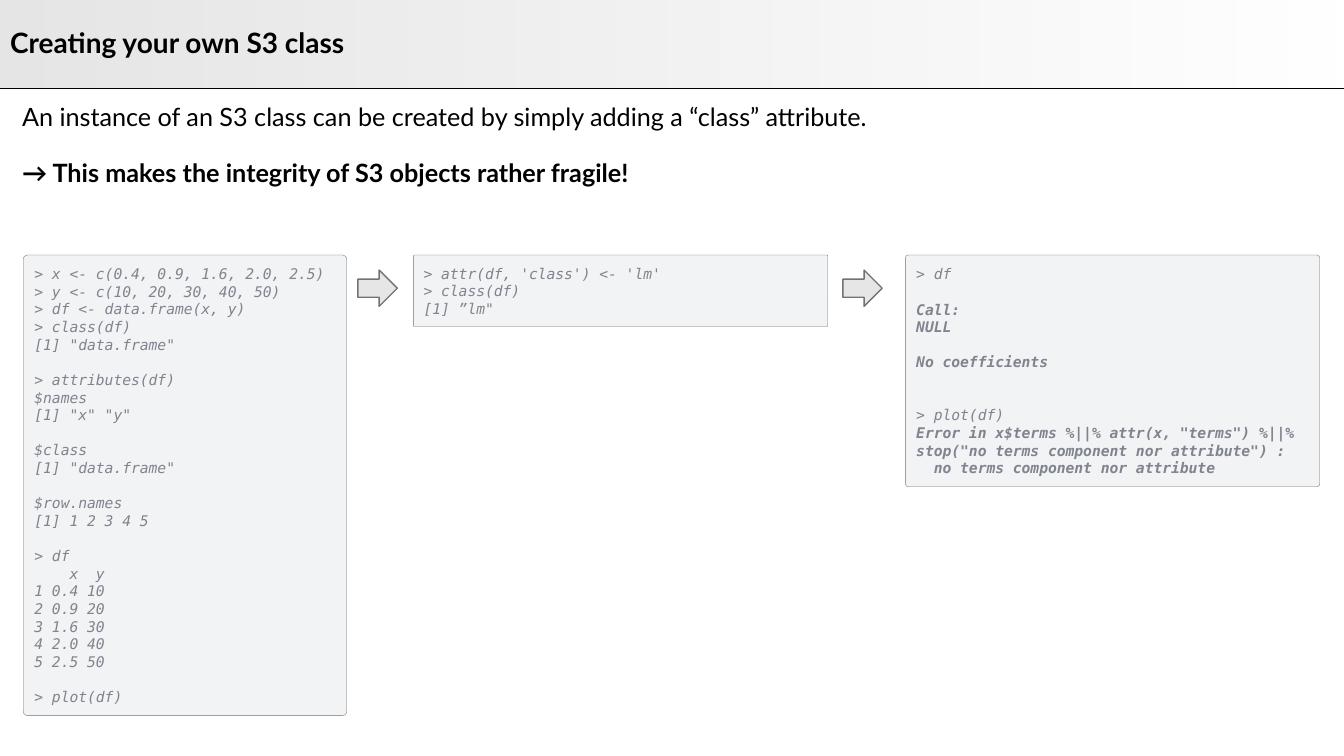
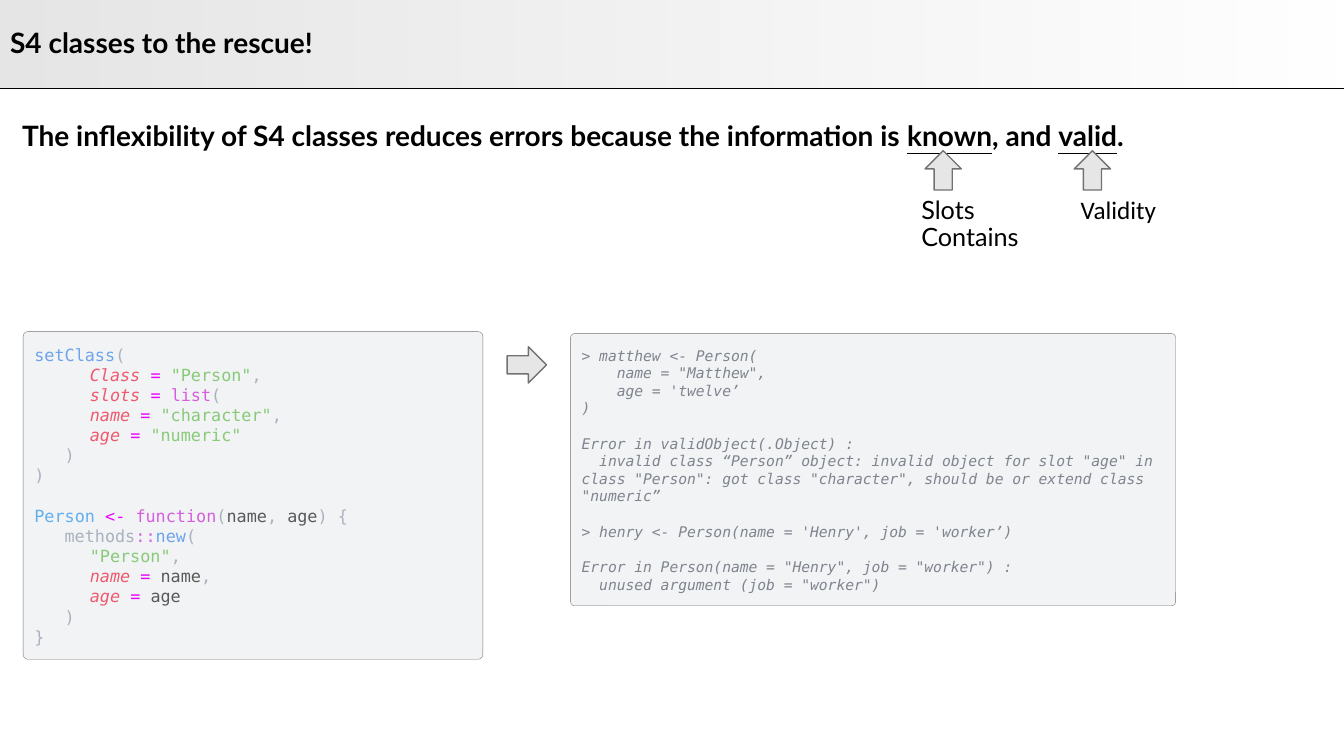
from typing import NamedTuple

from lxml import etree
from pptx import Presentation
from pptx import util as u
from pptx.dml import color as dml
from pptx.enum import shapes, text
from pptx.oxml import ns


class Style(NamedTuple):
    color: str
    bold: bool = False
    italic: bool = False
    underline: bool = False


class Theme:
    band = "E7E6E6"
    code_fill = "F1F3F5"
    outline = "767171"
    black = "000000"
    prose_font, label_font, code_font = "Lato", "Calibri", "DejaVu Sans Mono"
    title_size, body_size, listing_size, console_size = 20, 18, 12, 10.5
    styles = {
        "body": Style("000000"),
        "strong": Style("000000", bold=True),
        "underlined": Style("000000", bold=True, underline=True),
        "console": Style("7F848E", italic=True),
        "alert": Style("7F848E", bold=True, italic=True),
        "call": Style("6EA4EB"),
        "class": Style("61AFEF"),
        "argument": Style("EF596F", italic=True),
        "operator": Style("EA00FF"),
        "string": Style("89CA78"),
        "keyword": Style("D55FDE"),
        "variable": Style("595959"),
        "punctuation": Style("ABB2BF"),
    }


# A paragraph is (left indent in inches, [(text, style name), ...]).
def lines(style, *texts):
    return [(0, [(line, style)] if line else []) for line in texts]


def argument(name, value, style, comma=True):
    runs = [(name + " ", "argument"), ("= ", "operator"), (value, style)]
    return ARGUMENT_INDENT, runs + [(",", "punctuation")] * comma


SLIDE_WIDTH, SLIDE_HEIGHT = 13.33, 7.5
BAND_HEIGHT = 0.88
BODY_BOX = (0.12, 0.96, 12.98, 6.54)
ARROW_WIDTH, ARROW_HEIGHT = 0.39, 0.36
CALL_INDENT, ARGUMENT_INDENT = 0.3, 0.55

S3_TITLE = "Creating your own S3 class"
S3_BODY = (
    lines("body", "An instance of an S3 class can be created by simply adding a “class” attribute.")
    + lines("strong", "→ This makes the integrity of S3 objects rather fragile!")
)
DATA_FRAME = lines(
    "console",
    "> x <- c(0.4, 0.9, 1.6, 2.0, 2.5)",
    "> y <- c(10, 20, 30, 40, 50)",
    "> df <- data.frame(x, y)",
    "> class(df)",
    '[1] "data.frame"',
    "",
    "> attributes(df)",
    "$names",
    '[1] "x" "y"',
    "",
    "$class",
    '[1] "data.frame"',
    "",
    "$row.names",
    "[1] 1 2 3 4 5",
    "",
    "> df",
    "    x  y",
    "1 0.4 10",
    "2 0.9 20",
    "3 1.6 30",
    "4 2.0 40",
    "5 2.5 50",
    "",
    "> plot(df)",
)
CLASS_CHANGE = lines("console", "> attr(df, 'class') <- 'lm'", "> class(df)", '[1] ”lm"')
BROKEN_OBJECT = (
    lines("console", "> df", "")
    + lines("alert", "Call:", "NULL", "", "No coefficients", "", "")
    + lines("console", "> plot(df)")
    + lines(
        "alert",
        'Error in x$terms %||% attr(x, "terms") %||% stop("no terms component nor attribute") :',
        "  no terms component nor attribute",
    )
)
# (box, code)
S3_PANELS = [
    ((0.23, 2.53, 3.21, 4.57), DATA_FRAME),
    ((4.1, 2.53, 4.11, 0.71), CLASS_CHANGE),
    ((8.98, 2.53, 4.11, 2.3), BROKEN_OBJECT),
]
S3_ARROWS = [(3.55, 2.68), (8.36, 2.68)]

S4_TITLE = "S4 classes to the rescue!"
S4_BODY = [(0, [
    ("The inflexibility of S4 classes reduces errors because the information is ", "strong"),
    ("known", "underlined"),
    (", and ", "strong"),
    ("valid", "underlined"),
    (".", "strong"),
])]
# (text, left, top, width, font)
S4_LABELS = [
    ("Slots", 9.04, 1.88, 1.03, Theme.prose_font),
    ("Validity", 10.62, 1.88, 1.03, Theme.label_font),
    ("Contains", 9.04, 2.15, 1.27, Theme.prose_font),
]
S4_UP_ARROWS = [(9.16, 1.51), (10.64, 1.51)]
S4_ARROW = (5.03, 3.44)
CLASS_BOX = (0.23, 3.29, 4.56, 3.25)
CLASS_DEFINITION = [
    (0, [("setClass", "call"), ("(", "punctuation")]),
    argument("Class", '"Person"', "string"),
    (ARGUMENT_INDENT, [("slots ", "argument"), ("= ", "operator"),
                       ("list", "keyword"), ("(", "punctuation")]),
    argument("name", '"character"', "string"),
    argument("age", '"numeric"', "string", comma=False),
    (CALL_INDENT, [(")", "punctuation")]),
    (0, [(")", "punctuation")]),
    (0, []),
    (0, [("Person ", "class"), ("<- ", "operator"), ("function", "keyword"),
         ("(", "punctuation"), ("name", "variable"), (", ", "punctuation"),
         ("age", "variable"), (") {", "punctuation")]),
    (CALL_INDENT, [("methods", "punctuation"), ("::", "keyword"),
                   ("new", "call"), ("(", "punctuation")]),
    (ARGUMENT_INDENT, [('"Person"', "string"), (",", "punctuation")]),
    argument("name", "name", "variable"),
    argument("age", "age", "variable", comma=False),
    (CALL_INDENT, [(")", "punctuation")]),
    (0, [("}", "punctuation")]),
]
ERRORS_BOX = (5.66, 3.31, 6, 2.7)
CLASS_ERRORS = lines(
    "console",
    "> matthew <- Person(",
    '    name = "Matthew",',
    "    age = 'twelve’",
    ")",
    "",
    "Error in validObject(.Object) :",
    '  invalid class “Person” object: invalid object for slot "age" in class "Person": '
    'got class "character", should be or extend class "numeric”',
    "",
    "> henry <- Person(name = 'Henry', job = 'worker’)",
    "",
    'Error in Person(name = "Henry", job = "worker") :',
    '  unused argument (job = "worker")',
)


def rgb(value):
    return dml.RGBColor.from_string(value)


def inches(*values):
    return [u.Inches(value) for value in values]


def write(frame, paragraphs, size, font, line_spacing=None, space_after=None):
    frame.word_wrap = True
    for index, (indent, runs) in enumerate(paragraphs):
        paragraph = frame.add_paragraph() if index else frame.paragraphs[0]
        paragraph.alignment = text.PP_ALIGN.LEFT
        paragraph.line_spacing = line_spacing
        paragraph.space_after = space_after
        if indent:
            properties = paragraph._p.get_or_add_pPr()
            properties.set("marL", str(u.Inches(indent)))
            properties.set("indent", "0")
        for content, style_name in runs:
            style = Theme.styles[style_name]
            run = paragraph.add_run()
            run.text = content
            run.font.name, run.font.size = font, u.Pt(size)
            run.font.bold, run.font.italic = style.bold, style.italic
            run.font.underline = style.underline
            run.font.color.rgb = rgb(style.color)
        if not runs:  # an empty code line keeps the height of its neighbours
            end = etree.SubElement(paragraph._p, ns.qn("a:endParaRPr"), sz=str(int(size * 100)))
            etree.SubElement(end, ns.qn("a:latin"), typeface=font)


def add_titled_slide(presentation, title_text):
    """Add a slide with the fading title band and the rule under it."""
    slide = presentation.slides.add_slide(presentation.slide_layouts[5])
    title = slide.shapes.title
    title.left, title.top, title.width, title.height = inches(0, 0, SLIDE_WIDTH, BAND_HEIGHT)
    title.fill.gradient()
    title.fill.gradient_angle = 0
    for stop, position in zip(title.fill.gradient_stops, (0, 1)):
        stop.color.rgb = rgb(Theme.band)
        stop.position = position
    last_color = title._element.spPr.findall(".//" + ns.qn("a:srgbClr"))[-1]
    etree.SubElement(last_color, ns.qn("a:alpha"), val="0")
    title.text_frame.auto_size = text.MSO_AUTO_SIZE.NONE
    title.text_frame.vertical_anchor = text.MSO_ANCHOR.MIDDLE
    write(title.text_frame, lines("strong", title_text), Theme.title_size,
          Theme.prose_font, line_spacing=0.9)

    rule = slide.shapes.add_connector(
        shapes.MSO_CONNECTOR.STRAIGHT, *inches(0, BAND_HEIGHT, SLIDE_WIDTH, BAND_HEIGHT))
    rule.line.color.rgb = rgb(Theme.black)
    rule.line.width = u.Pt(0.75)
    etree.SubElement(rule._element.spPr, ns.qn("a:effectLst"))
    return slide


def add_text(slide, box, paragraphs, size, font=Theme.prose_font, **spacing):
    shape = slide.shapes.add_textbox(*inches(*box))
    write(shape.text_frame, paragraphs, size, font, **spacing)
    return shape


def add_outlined(slide, kind, box, fill, line_width):
    shape = slide.shapes.add_shape(kind, *inches(*box))
    shape.shadow.inherit = False
    shape.fill.solid()
    shape.fill.fore_color.rgb = rgb(fill)
    shape.line.color.rgb = rgb(Theme.outline)
    shape.line.width = u.Pt(line_width)
    return shape


def add_code(slide, box, code, size=Theme.console_size):
    panel = add_outlined(slide, shapes.MSO_SHAPE.ROUNDED_RECTANGLE, box, Theme.code_fill, 0.25)
    panel.adjustments[0] = 0.014
    panel.text_frame.vertical_anchor = text.MSO_ANCHOR.MIDDLE
    write(panel.text_frame, code, size, Theme.code_font)


def add_arrow(slide, left, top, rotation=0):
    arrow = add_outlined(slide, shapes.MSO_SHAPE.RIGHT_ARROW,
                         (left, top, ARROW_WIDTH, ARROW_HEIGHT), Theme.band, 1)
    arrow.rotation = rotation


def build_s3_slide(presentation):
    slide = add_titled_slide(presentation, S3_TITLE)
    add_text(slide, BODY_BOX, S3_BODY, Theme.body_size, space_after=u.Pt(18))
    for box, code in S3_PANELS:
        add_code(slide, box, code)
    for left, top in S3_ARROWS:
        add_arrow(slide, left, top)


def build_s4_slide(presentation):
    slide = add_titled_slide(presentation, S4_TITLE)
    add_text(slide, BODY_BOX, S4_BODY, Theme.title_size,
             line_spacing=1.5, space_after=u.Pt(18))
    for label, left, top, width, font in S4_LABELS:
        box = add_text(slide, (left, top, width, 0.4), lines("body", label),
                       Theme.body_size, font)
        box.text_frame.auto_size = text.MSO_AUTO_SIZE.SHAPE_TO_FIT_TEXT
    for left, top in S4_UP_ARROWS:
        add_arrow(slide, left, top, rotation=270)
    add_code(slide, ERRORS_BOX, CLASS_ERRORS)
    add_arrow(slide, *S4_ARROW)
    add_code(slide, CLASS_BOX, CLASS_DEFINITION, Theme.listing_size)


def main():
    presentation = Presentation()
    presentation.slide_width, presentation.slide_height = inches(SLIDE_WIDTH, SLIDE_HEIGHT)
    build_s3_slide(presentation)
    build_s4_slide(presentation)
    presentation.save("out.pptx")


if __name__ == "__main__":
    main()
